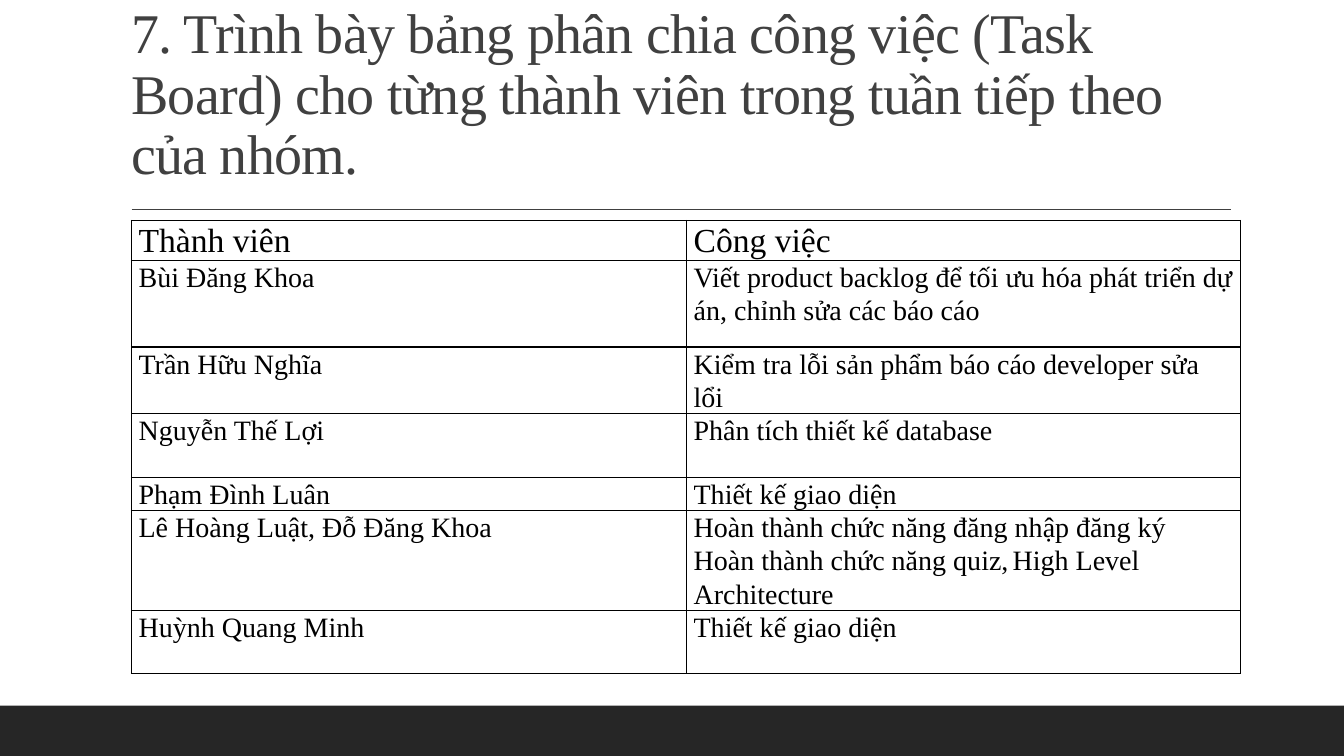
from lxml import etree
from pptx import Presentation
from pptx.dml.color import RGBColor
from pptx.enum.shapes import MSO_CONNECTOR, MSO_SHAPE
from pptx.enum.text import MSO_ANCHOR, MSO_AUTO_SIZE, PP_ALIGN
from pptx.oxml.ns import qn
from pptx.util import Pt

RECTANGLE = MSO_SHAPE.RECTANGLE
STRAIGHT = MSO_CONNECTOR.STRAIGHT
BOTTOM = MSO_ANCHOR.BOTTOM
NO_AUTOFIT = MSO_AUTO_SIZE.NONE
LEFT = PP_ALIGN.LEFT

BLACK = RGBColor(0x00, 0x00, 0x00)
CHARCOAL = RGBColor(0x26, 0x26, 0x26)
GRAY = RGBColor(0x40, 0x40, 0x40)

SLIDE_WIDTH, SLIDE_HEIGHT = 960, 540
FOOTER_HEIGHT = 36

TITLE = ("7. Trình bày bảng phân chia công việc (Task Board) "
         "cho từng thành viên trong tuần tiếp theo của nhóm.")
HEADER_SIZE, BODY_SIZE, SMALL_SIZE = 24, 20, 11
COLUMN_WIDTHS = (396.5, 395.5)

# Each row: height, member, then the pieces of the task as (text, size)
TASKS = [
    (24, "Thành viên", [("Công việc", HEADER_SIZE)]),
    (62, "Bùi Đăng Khoa",
     [("Viết product backlog để tối ưu hóa phát triển dự án, chỉnh sửa các báo cáo", BODY_SIZE)]),
    (45.5, "Trần Hữu Nghĩa",
     [("Kiểm tra lỗi sản phẩm báo cáo developer sửa lổi", BODY_SIZE)]),
    (45.5, "Nguyễn Thế Lợi", [("Phân tích thiết kế database", BODY_SIZE)]),
    (23, "Phạm Đình Luân", [("Thiết kế giao diện", BODY_SIZE)]),
    (62, "Lê Hoàng Luật, Đỗ Đăng Khoa",
     [("Hoàn thành chức năng đăng nhập đăng ký Hoàn thành chức năng quiz,", BODY_SIZE),
      (" ", SMALL_SIZE),
      ("High Level Architecture", BODY_SIZE)]),
    (45.5, "Huỳnh Quang Minh", [("Thiết kế giao diện", BODY_SIZE)]),
]


def set_attributes(target, values):
    for name, value in values.items():
        setattr(target, name, value)


class TaskBoardSlide:
    """Holds the style and the current slide."""

    font_name = "Times New Roman"
    border_width = 1
    cell_margins = {"margin_left": Pt(5), "margin_right": Pt(5),
                    "margin_top": 0, "margin_bottom": 0}

    def __init__(self, presentation):
        self.slide = presentation.slides.add_slide(presentation.slide_layouts[5])

    def add_text(self, paragraph, pieces, color, line_spacing):
        set_attributes(paragraph, {"alignment": LEFT, "line_spacing": line_spacing,
                                   "space_before": 0, "space_after": 0})
        for text, size in pieces:
            run = paragraph.add_run()
            run.text = text
            set_attributes(run.font, {"name": self.font_name, "size": Pt(size)})
            run.font.color.rgb = color

    def bar(self, left, top, width, height, color):
        shape = self.slide.shapes.add_shape(RECTANGLE, Pt(left), Pt(top), Pt(width), Pt(height))
        shape.shadow.inherit = False
        shape.fill.solid()
        shape.fill.fore_color.rgb = color
        shape.line.fill.background()

    def rule(self, left, right, top, color):
        line = self.slide.shapes.add_connector(STRAIGHT, Pt(left), Pt(top), Pt(right), Pt(top))
        line.line.color.rgb = color
        line.line.width = Pt(1)
        etree.SubElement(line._element.spPr, qn("a:effectLst"))

    def title(self, text, left, top, width, height):
        shape = self.slide.shapes.title
        set_attributes(shape, {"left": Pt(left), "top": Pt(top),
                               "width": Pt(width), "height": Pt(height)})
        frame = shape.text_frame
        set_attributes(frame, {"vertical_anchor": BOTTOM, "word_wrap": True,
                               "auto_size": NO_AUTOFIT})
        paragraph = frame.paragraphs[0]
        self.add_text(paragraph, [(text, 40)], GRAY, 0.9)
        # Slightly tightened letter spacing
        paragraph.runs[0]._r.get_or_add_rPr().set("spc", "-50")

    def border(self, cell):
        properties = cell._tc.get_or_add_tcPr()
        for side in ("a:lnL", "a:lnR", "a:lnT", "a:lnB"):
            line = etree.SubElement(properties, qn(side), w=str(Pt(self.border_width)))
            fill = etree.SubElement(line, qn("a:solidFill"))
            etree.SubElement(fill, qn("a:srgbClr"), val=str(BLACK))

    def cell(self, cell, pieces):
        set_attributes(cell, self.cell_margins)
        self.border(cell)
        cell.fill.background()
        self.add_text(cell.text_frame.paragraphs[0], pieces, BLACK, 1.07)

    def table(self, left, top, widths, tasks):
        height = sum(task[0] for task in tasks)
        table = self.slide.shapes.add_table(len(tasks), len(widths), Pt(left), Pt(top),
                                            Pt(sum(widths)), Pt(height)).table
        set_attributes(table, {"first_row": False, "horz_banding": False})
        for column, width in zip(table.columns, widths):
            column.width = Pt(width)
        for row, (row_height, member, work) in zip(table.rows, tasks):
            row.height = Pt(row_height)
            member_cell, work_cell = row.cells
            self.cell(member_cell, [(member, work[0][1])])
            self.cell(work_cell, work)


def main():
    presentation = Presentation()
    set_attributes(presentation, {"slide_width": Pt(SLIDE_WIDTH),
                                  "slide_height": Pt(SLIDE_HEIGHT)})
    board = TaskBoardSlide(presentation)

    # Footer band and rule under the title
    board.bar(0, SLIDE_HEIGHT - FOOTER_HEIGHT, SLIDE_WIDTH, FOOTER_HEIGHT, CHARCOAL)
    board.rule(94, 879, 149.5, GRAY)

    # Title and task table
    board.title(TITLE, 86.5, 22.5, 792, 114.5)
    board.table(94, 157.5, COLUMN_WIDTHS, TASKS)

    presentation.save("out.pptx")


if __name__ == "__main__":
    main()
